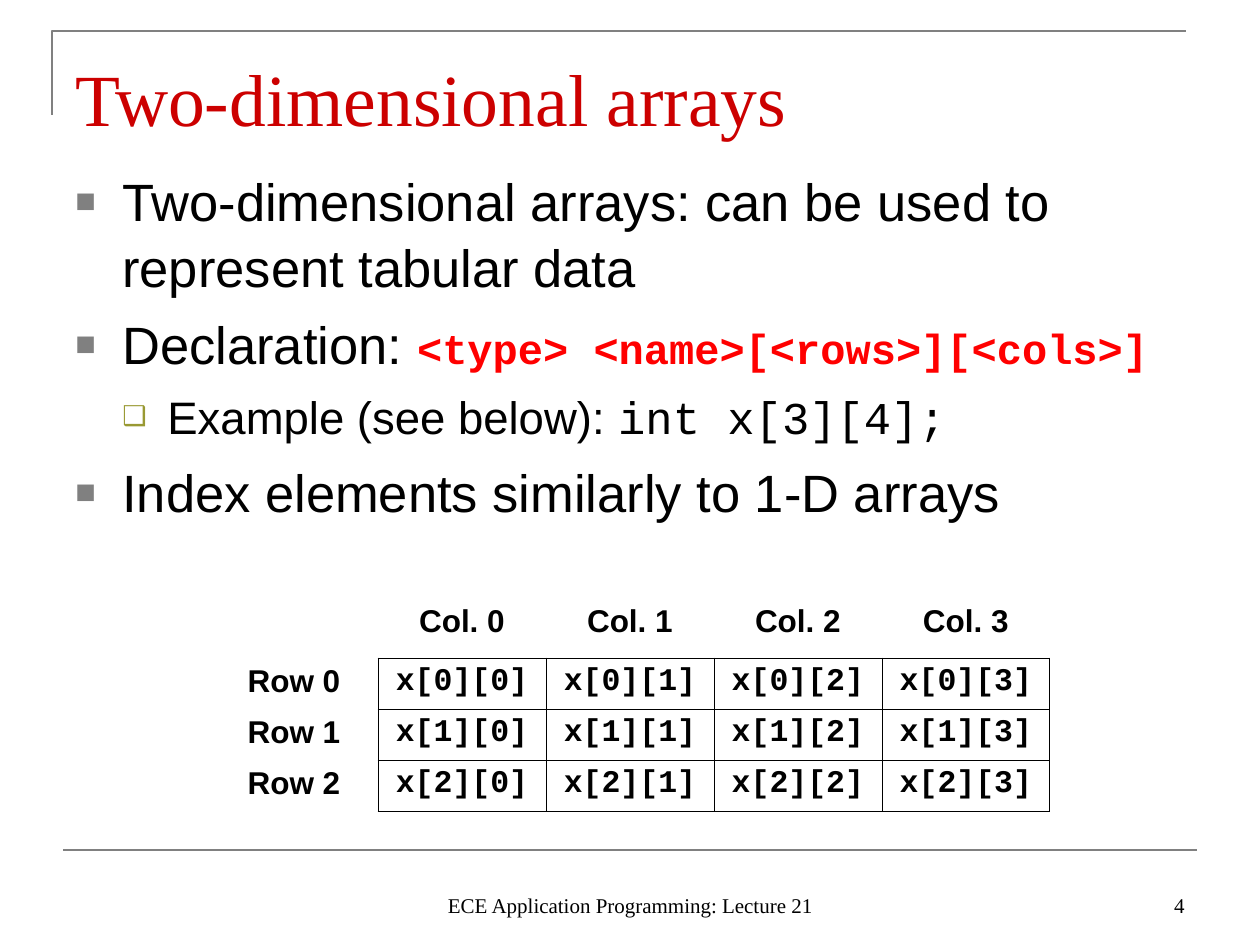
"""Build the slide that introduces two-dimensional arrays."""
from lxml.etree import SubElement
from pptx import Presentation
from pptx.dml.color import RGBColor
from pptx.enum.shapes import MSO_CONNECTOR
from pptx.enum.text import MSO_ANCHOR, PP_ALIGN
from pptx.oxml.ns import qn
from pptx.util import Pt

COLORS = {"title": "CC0000", "text": "000000", "code": "FF0000", "rule": "808080",
          "bullet": "808080", "subbullet": "999933", "paper": "FFFFFF"}
SANS, SERIF, MONO = "Arial", "Times New Roman", "Courier New"

TITLE = {"name": SERIF, "size": 42, "color": "title"}
MAIN = {"name": SANS, "size": 30, "color": "text"}
SUB = {"name": SANS, "size": 26, "color": "text"}
SYNTAX = {"name": MONO, "size": 24, "color": "code", "bold": True}
EXAMPLE = {"name": MONO, "size": 26, "color": "text"}
FOOTER = {"name": SERIF, "size": 12, "color": "text"}
LABEL = {"name": SANS, "size": 18, "color": "text", "bold": True}
ELEMENT = {**LABEL, "name": MONO}

LEVELS = [
    {"mark": "■", "color": "bullet", "percent": 65, "left": 47, "hang": 47},
    {"mark": "❑", "color": "subbullet", "percent": 60, "left": 92, "hang": 45},
]
BODY = [
    (0, 0, [("Two-dimensional arrays: can be used to represent tabular data", MAIN)]),
    (0, 6, [("Declaration: ", MAIN), ("<type> <name>[<rows>][<cols>]", SYNTAX)]),
    (1, 6.5, [("Example (see below): ", SUB), ("int x[3][4];", EXAMPLE)]),
    (0, 7.5, [("Index elements similarly to 1-D arrays", MAIN)]),
]
FOOTERS = [
    ("ECE Application Programming: Lecture 21", (431, 861, 399, 63), PP_ALIGN.CENTER),
    ("4", (903, 861, 294, 63), PP_ALIGN.RIGHT),
]
ROWS, COLUMNS = 3, 4
TABLE_LEFT, TABLE_TOP = 210, 598
COLUMN_WIDTH, HEADER_HEIGHT, ROW_HEIGHT = 168, 60, 51


def px(length):
    return round(length * 914400 / 126)


def rgb(name):
    return RGBColor.from_string(COLORS[name])


def write(para, text, style):
    span = para.add_run()
    span.text = text
    for key, value in style.items():
        if key == "color":
            span.font.color.rgb = rgb(value)
        else:
            setattr(span.font, key, Pt(value) if key == "size" else value)


def add_box(page, place, anchor=MSO_ANCHOR.TOP, top=6):
    frame = page.shapes.add_textbox(*map(px, place)).text_frame
    settings = {"word_wrap": True, "vertical_anchor": anchor, "margin_top": px(top)}
    for key, value in settings.items():
        setattr(frame, key, value)
    return frame


def add_bullet(para, level):
    properties = para._p.get_or_add_pPr()
    properties.set("marL", str(px(level["left"])))
    properties.set("indent", str(-px(level["hang"])))
    color = SubElement(properties, qn("a:buClr"))
    SubElement(color, qn("a:srgbClr"), val=COLORS[level["color"]])
    SubElement(properties, qn("a:buSzPct"), val=str(level["percent"] * 1000))
    SubElement(properties, qn("a:buFont"), typeface=SANS)
    SubElement(properties, qn("a:buChar"), char=level["mark"])


def add_rules(page):
    builder = page.shapes.build_freeform(px(52), px(115))
    builder.add_line_segments([(px(52), px(31)), (px(1186), px(31))], close=False)
    corner = builder.convert_to_shape()
    corner.shadow.inherit = False
    corner.fill.background()
    rule = page.shapes.add_connector(
        MSO_CONNECTOR.STRAIGHT, px(63), px(850), px(1197), px(850))
    SubElement(rule._element.spPr, qn("a:effectLst"))
    for shape in (corner, rule):
        shape.line.color.rgb = rgb("rule")
        shape.line.width = Pt(1.5)


def add_body(page):
    frame = add_box(page, (63, 158, 1134, 687), top=8)
    for number, (level, before, spans) in enumerate(BODY):
        para = frame.add_paragraph() if number else frame.paragraphs[0]
        para.level = level
        para.line_spacing = 1.05
        para.space_before = Pt(before)
        add_bullet(para, LEVELS[level])
        for text, style in spans:
            write(para, text, style)


def add_borders(cell, row, column):
    sides = {
        "a:lnL": row and column,
        "a:lnR": row,
        "a:lnT": row and column,
        "a:lnB": column,
    }
    properties = cell._tc.get_or_add_tcPr()
    for position, (tag, drawn) in enumerate(sides.items()):
        line = SubElement(properties, qn(tag), w=str(Pt(0.45)))
        properties.insert(position, line)
        if drawn:
            fill = SubElement(line, qn("a:solidFill"))
            SubElement(fill, qn("a:srgbClr"), val=COLORS["text"])
        else:
            SubElement(line, qn("a:noFill"))


def cell_content(row, column):
    if row and column:
        return f"x[{row - 1}][{column - 1}]", ELEMENT
    if row:
        return f"Row {row - 1}", LABEL
    return (f"Col. {column - 1}" if column else ""), LABEL


def add_array_table(page):
    width = COLUMN_WIDTH * (COLUMNS + 1)
    height = HEADER_HEIGHT + ROW_HEIGHT * ROWS
    table = page.shapes.add_table(
        ROWS + 1, COLUMNS + 1, px(TABLE_LEFT), px(TABLE_TOP), px(width), px(height)).table
    table.first_row = table.horz_banding = False
    for column in table.columns:
        column.width = px(COLUMN_WIDTH)
    for row, line in enumerate(table.rows):
        line.height = px(ROW_HEIGHT if row else HEADER_HEIGHT)
        for column, cell in enumerate(line.cells):
            cell.fill.background()
            add_borders(cell, row, column)
            text, style = cell_content(row, column)
            para = cell.text_frame.paragraphs[0]
            para.alignment = PP_ALIGN.CENTER
            if text:
                write(para, text, style)


def main():
    deck = Presentation()
    deck.slide_width, deck.slide_height = px(1260), px(945)
    page = deck.slides.add_slide(deck.slide_layouts[6])
    page.background.fill.solid()
    page.background.fill.fore_color.rgb = rgb("paper")
    add_rules(page)
    title = add_box(page, (63, 38, 1134, 98), top=15)
    write(title.paragraphs[0], "Two-dimensional arrays", TITLE)
    add_body(page)
    for text, place, alignment in FOOTERS:
        para = add_box(page, place, MSO_ANCHOR.BOTTOM).paragraphs[0]
        para.alignment = alignment
        write(para, text, FOOTER)
    add_array_table(page)
    deck.save("out.pptx")


if __name__ == "__main__":
    main()
